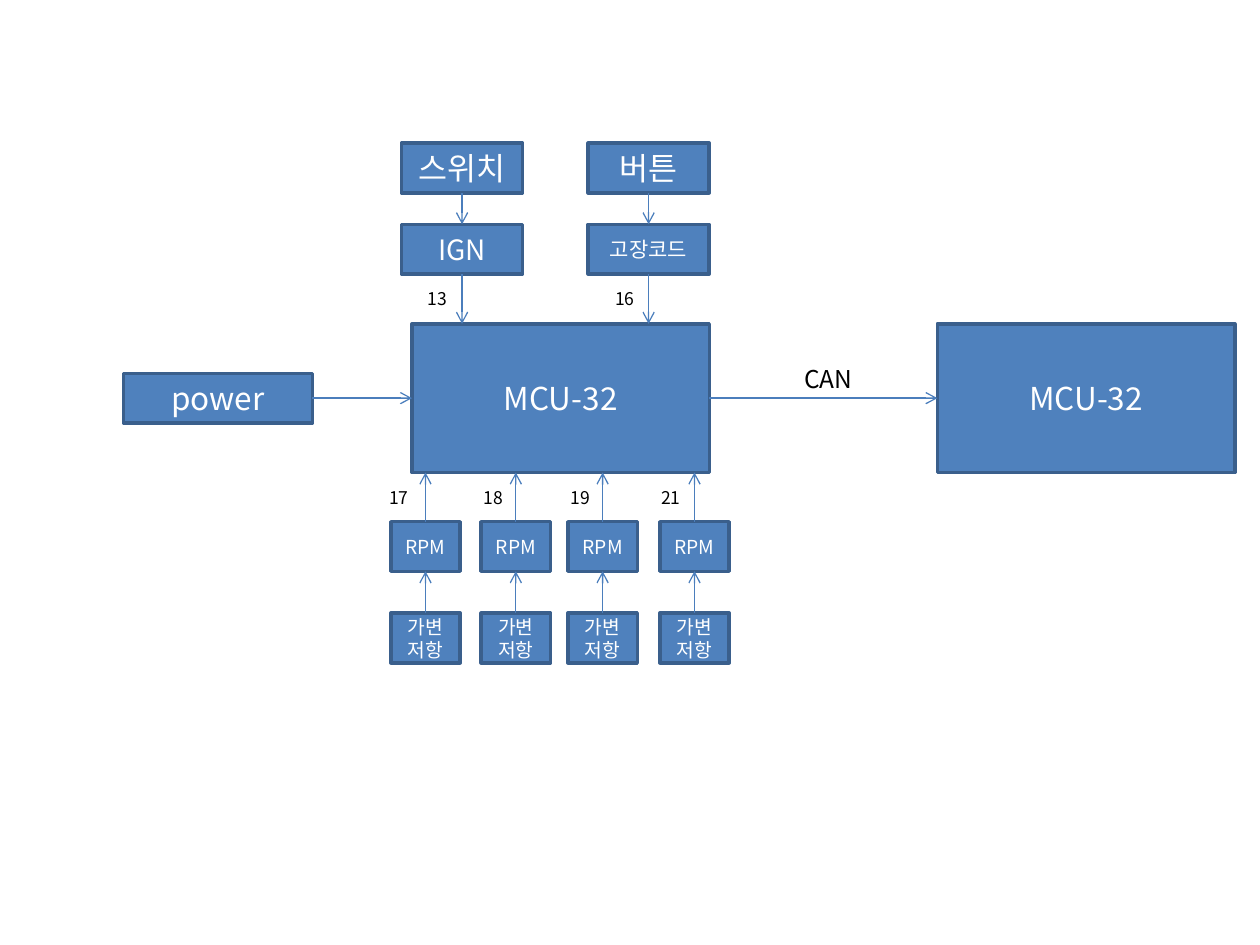
from pptx import Presentation
from pptx import util as u
from pptx.dml.color import RGBColor
from pptx.enum import shapes, text
from pptx.oxml import ns, xmlchemy

WIDTH, HEIGHT = u.Inches(10), u.Inches(7.5)
COLUMN, ROW = WIDTH / 100, HEIGHT / 75
FONT = "Noto Sans CJK KR"
BLUE, BORDER, ARROW = "4F81BD", "3A5F8C", "4B7EBC"
WHITE, BLACK = "FFFFFF", "000000"

BOX_HEIGHT = 3.94
CHIP_WIDTH, CHIP_HEIGHT = 23.6, 11.8
CHIP_TOP, CHIP_MIDDLE = 25.7, 31.6
CHIP_BOTTOM = CHIP_TOP + CHIP_HEIGHT
INPUT_ROW, SIGNAL_ROW = 11.36, 17.8
RPM_ROW, RESISTOR_ROW = 41.4, 48.66


def color(value):
    return RGBColor.from_string(value)


def add_child(parent, tag, **attributes):
    child = xmlchemy.OxmlElement(tag)
    for name, value in attributes.items():
        child.set(name, value)
    parent.append(child)


def add_block(slide, kind, center, top, width, height, words, size, fill, ink):
    shape = slide.shapes.add_shape(
        kind, round((center - width / 2) * COLUMN), round(top * ROW),
        round(width * COLUMN), round(height * ROW))
    shape.shadow.inherit = False
    shape.fill.solid()
    shape.fill.fore_color.rgb = color(fill)
    frame = shape.text_frame
    frame.word_wrap = True
    frame.vertical_anchor = text.MSO_ANCHOR.MIDDLE
    paragraph = frame.paragraphs[0]
    paragraph.alignment = text.PP_ALIGN.CENTER
    run = paragraph.add_run()
    run.text = words
    run.font.size = u.Pt(size)
    run.font.name = FONT
    run.font.color.rgb = color(ink)
    add_child(run.font._element, "a:ea", typeface=FONT)
    return shape


def add_box(slide, center, top, width, words, size, height=BOX_HEIGHT):
    shape = add_block(slide, shapes.MSO_SHAPE.FLOWCHART_PROCESS, center, top,
                      width, height, words, size, BLUE, WHITE)
    shape.line.color.rgb = color(BORDER)
    shape.line.width = u.Pt(2)


def add_label(slide, center, top, words, size=10, width=3.7):
    shape = add_block(slide, shapes.MSO_SHAPE.RECTANGLE, center, top,
                      width, 2.4, words, size, WHITE, BLACK)
    shape.line.fill.background()


def add_arrow(slide, start_x, start_y, end_x, end_y):
    connector = slide.shapes.add_connector(
        shapes.MSO_CONNECTOR.STRAIGHT,
        round(start_x * COLUMN), round(start_y * ROW),
        round(end_x * COLUMN), round(end_y * ROW))
    connector.line.color.rgb = color(ARROW)
    connector.line.width = u.Pt(0.75)
    properties = connector._element.spPr
    add_child(properties.find(ns.qn("a:ln")), "a:tailEnd", type="arrow")
    add_child(properties, "a:effectLst")


def add_input(slide, center, source, signal, signal_size, pin, pin_center):
    add_box(slide, center, INPUT_ROW, 9.6, source, 18)
    add_box(slide, center, SIGNAL_ROW, 9.6, signal, signal_size)
    add_label(slide, pin_center, 22.5, pin)
    add_arrow(slide, center, INPUT_ROW + BOX_HEIGHT, center, SIGNAL_ROW)
    add_arrow(slide, center, SIGNAL_ROW + BOX_HEIGHT, center, CHIP_TOP)


def add_sensor(slide, center, pin, pin_center):
    add_box(slide, center, RPM_ROW, 5.5, "RPM", 11)
    add_box(slide, center, RESISTOR_ROW, 5.5, "가변저항", 11)
    add_label(slide, pin_center, 38.3, pin)
    add_arrow(slide, center, RESISTOR_ROW, center, RPM_ROW + BOX_HEIGHT)
    add_arrow(slide, center, RPM_ROW, center, CHIP_BOTTOM)


def main():
    presentation = Presentation()
    presentation.slide_width, presentation.slide_height = WIDTH, HEIGHT
    slide = presentation.slides.add_slide(presentation.slide_layouts[6])

    add_box(slide, 17.3, 29.63, 15, "power", 18)
    for center in (44.5, 86.2):
        add_box(slide, center, CHIP_TOP, CHIP_WIDTH, "MCU-32", 18, CHIP_HEIGHT)
    add_label(slide, 65.75, 28.84, "CAN", 14, 6.3)
    for start, end in ((24.8, 32.7), (56.3, 74.4)):
        add_arrow(slide, start, CHIP_MIDDLE, end, CHIP_MIDDLE)

    add_input(slide, 36.67, "스위치", "IGN", 16, "13", 34.72)
    add_input(slide, 51.48, "버튼", "고장코드", 12, "16", 49.6)
    for center, pin, pin_center in (
            (33.77, "17", 31.65), (40.94, "18", 39.15),
            (47.83, "19", 46.05), (55.12, "21", 53.25)):
        add_sensor(slide, center, pin, pin_center)

    presentation.save("out.pptx")


if __name__ == "__main__":
    main()
